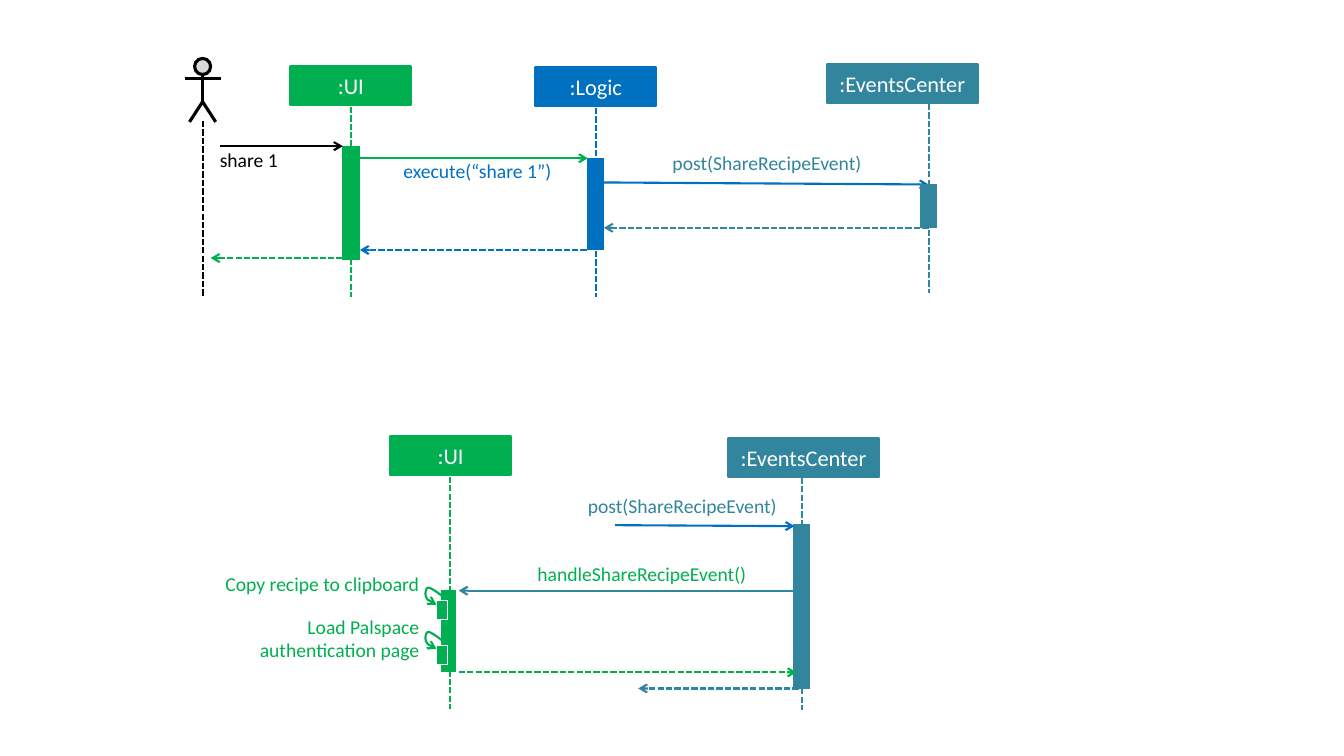
import pptx
import pptx.util
import pptx.dml.color
import pptx.enum.dml
import pptx.enum.shapes
import pptx.enum.text
import pptx.oxml.ns
import lxml.etree

PX = 9144  # EMU per px, 100 px to the inch
FONT = "Calibri"
COLORS = {"ui": "00B050", "logic": "0070C0", "events": "31859C",
          "actor": "000000", "head": "D9D9D9", "white": "FFFFFF"}
RECT = pptx.enum.shapes.MSO_SHAPE.RECTANGLE
ALIGN = pptx.enum.text.PP_ALIGN


def px(*lengths):
    return [pptx.util.Emu(round(length * PX)) for length in lengths]


def rgb(color):
    return pptx.dml.color.RGBColor.from_string(COLORS[color])


def set_line(item, color, width):
    item.line.color.rgb = rgb(color)
    item.line.width = pptx.util.Pt(width)


def add_arrowhead(item):
    tag = pptx.oxml.ns.qn("a:tailEnd")
    lxml.etree.SubElement(item.line._get_or_add_ln(), tag, type="arrow")


def write(paragraph, text, size, color, align):
    paragraph.alignment = align
    run = paragraph.add_run()
    run.text = text
    run.font.name = FONT
    run.font.size = pptx.util.Pt(size)
    run.font.color.rgb = rgb(color)


def add_block(shapes, box, fill, line, width, kind=RECT):
    block = shapes.add_shape(kind, *px(*box))
    block.shadow.inherit = False
    block.fill.solid()
    block.fill.fore_color.rgb = rgb(fill)
    set_line(block, line, width)
    return block


def add_line(shapes, start, end, color, width=1.5, dashed=False, arrow=False):
    straight = pptx.enum.shapes.MSO_CONNECTOR.STRAIGHT
    line = shapes.add_connector(straight, *px(*start, *end))
    set_line(line, color, width)
    if dashed:
        line.line.dash_style = pptx.enum.dml.MSO_LINE.SQUARE_DOT
    if arrow:
        add_arrowhead(line)
    lxml.etree.SubElement(line._element.spPr, pptx.oxml.ns.qn("a:effectLst"))


def add_outline(shapes, points, color, width):
    corners = [px(*point) for point in points]
    builder = shapes.build_freeform(*corners[0], scale=1.0)
    builder.add_line_segments(corners[1:], close=False)
    outline = builder.convert_to_shape()
    outline.shadow.inherit = False
    outline.fill.background()
    set_line(outline, color, width)
    return outline


def add_label(shapes, box, text, color, align=ALIGN.LEFT):
    frame = shapes.add_textbox(*px(*box)).text_frame
    frame.word_wrap = True
    frame.auto_size = pptx.enum.text.MSO_AUTO_SIZE.SHAPE_TO_FIT_TEXT
    frame.margin_left = frame.margin_right = 0
    frame.margin_top = frame.margin_bottom = 0
    write(frame.paragraphs[0], text, 14, color, align)


def add_participant(shapes, name, color, title_box, lifeline, activation):
    """Title box, dashed lifeline (x, top, bottom) and activation bar."""
    title = add_block(shapes, title_box, color, color, 1.5)
    frame = title.text_frame
    frame.word_wrap = False
    frame.vertical_anchor = pptx.enum.text.MSO_ANCHOR.MIDDLE
    write(frame.paragraphs[0], name, 16, "white", ALIGN.CENTER)
    x, top, bottom = lifeline
    add_line(shapes, (x, top), (x, bottom), color, dashed=True)
    add_block(shapes, activation, color, color, 0.75)


def add_actor(shapes):
    figure = shapes.add_group_shape().shapes
    circle = pptx.enum.shapes.MSO_SHAPE.FLOWCHART_CONNECTOR
    add_block(figure, (193, 58, 16, 16), "head", "actor", 2.25, circle)
    add_line(figure, (201, 74), (201, 102), "actor", 2.25)
    add_outline(figure, [(188, 121), (201, 101), (214, 121)], "actor", 2.25)
    add_line(figure, (183, 78), (219, 78), "actor", 2.25)
    add_line(shapes, (201, 120), (201, 295), "actor", dashed=True)


def curve_points(knots, steps=8):
    """Points along joined cubic curves."""
    points = [knots[0]]
    for first in range(0, len(knots) - 1, 3):
        section = knots[first:first + 4]
        for step in range(1, steps + 1):
            t = step / steps
            weights = ((1 - t) ** 3, 3 * t * (1 - t) ** 2,
                       3 * t * t * (1 - t), t ** 3)
            points.append(tuple(sum(w * knot[axis] for w, knot in zip(weights, section))
                                for axis in (0, 1)))
    return points


def add_self_call(shapes, top):
    call = shapes.add_group_shape().shapes
    knots = [(438, 8), (433, 4), (427, 0), (425, 0), (422, 0), (421, 7),
             (423, 10), (424, 13), (429, 15), (433, 17)]
    loop = add_outline(call, curve_points([(x, top + y) for x, y in knots]), "ui", 1.5)
    add_arrowhead(loop)
    add_block(call, (433, top + 13, 11, 19), "ui", "white", 0.75)


def add_share_sequence(shapes):
    add_participant(shapes, ":UI", "ui", (288, 66, 120, 38), (348, 106, 295), (340, 145, 17, 112))
    add_actor(shapes)
    add_participant(shapes, ":Logic", "logic", (531, 67, 120, 38), (591, 107, 295),
                    (583, 157, 16, 91))
    # Calls
    add_line(shapes, (218, 145), (340, 145), "actor", arrow=True)
    add_label(shapes, (218, 147, 94, 24), "share 1", "actor")
    add_line(shapes, (357, 157), (583, 157), "ui", arrow=True)
    add_label(shapes, (400, 158, 158, 24), "execute(“share 1”)", "logic")
    add_line(shapes, (596, 181), (921, 183), "logic", arrow=True)
    add_label(shapes, (667, 150, 207, 24), "post(ShareRecipeEvent)", "events")
    add_participant(shapes, ":EventsCenter", "events", (820, 64, 150, 38), (921, 103, 291),
                    (913, 183, 16, 43))
    # Returns
    for start, end, y, color in [(921, 599, 226, "events"), (582, 357, 248, "logic"),
                                 (340, 209, 256, "ui")]:
        add_line(shapes, (start, y), (end, y), color, dashed=True, arrow=True)


def add_event_sequence(shapes):
    add_participant(shapes, ":EventsCenter", "events", (722, 435, 150, 38), (795, 474, 704),
                    (787, 520, 16, 163))
    add_participant(shapes, ":UI", "ui", (387, 433, 120, 38), (446, 473, 703), (438, 586, 14, 80))
    # Calls
    add_label(shapes, (583, 490, 194, 24), "post(ShareRecipeEvent)", "events")
    add_line(shapes, (610, 521), (788, 522), "logic", arrow=True)
    add_label(shapes, (533, 557, 221, 24), "handleShareRecipeEvent()", "ui")
    add_line(shapes, (790, 586), (455, 586), "events", arrow=True)
    # UI steps
    for top, box, step in [(583, (200, 567, 216, 24), "Copy recipe to clipboard"),
                           (627, (225, 610, 191, 47), "Load Palspace authentication page")]:
        add_self_call(shapes, top)
        add_label(shapes, box, step, "ui", ALIGN.RIGHT)
    # Returns
    add_line(shapes, (455, 667), (790, 667), "ui", dashed=True, arrow=True)
    add_line(shapes, (792, 683), (633, 683), "events", dashed=True, arrow=True)


def main():
    deck = pptx.Presentation()
    deck.slide_width, deck.slide_height = px(1333, 750)
    slide = deck.slides.add_slide(deck.slide_layouts[6])
    add_share_sequence(slide.shapes)
    add_event_sequence(slide.shapes)
    deck.save("out.pptx")


if __name__ == "__main__":
    main()
